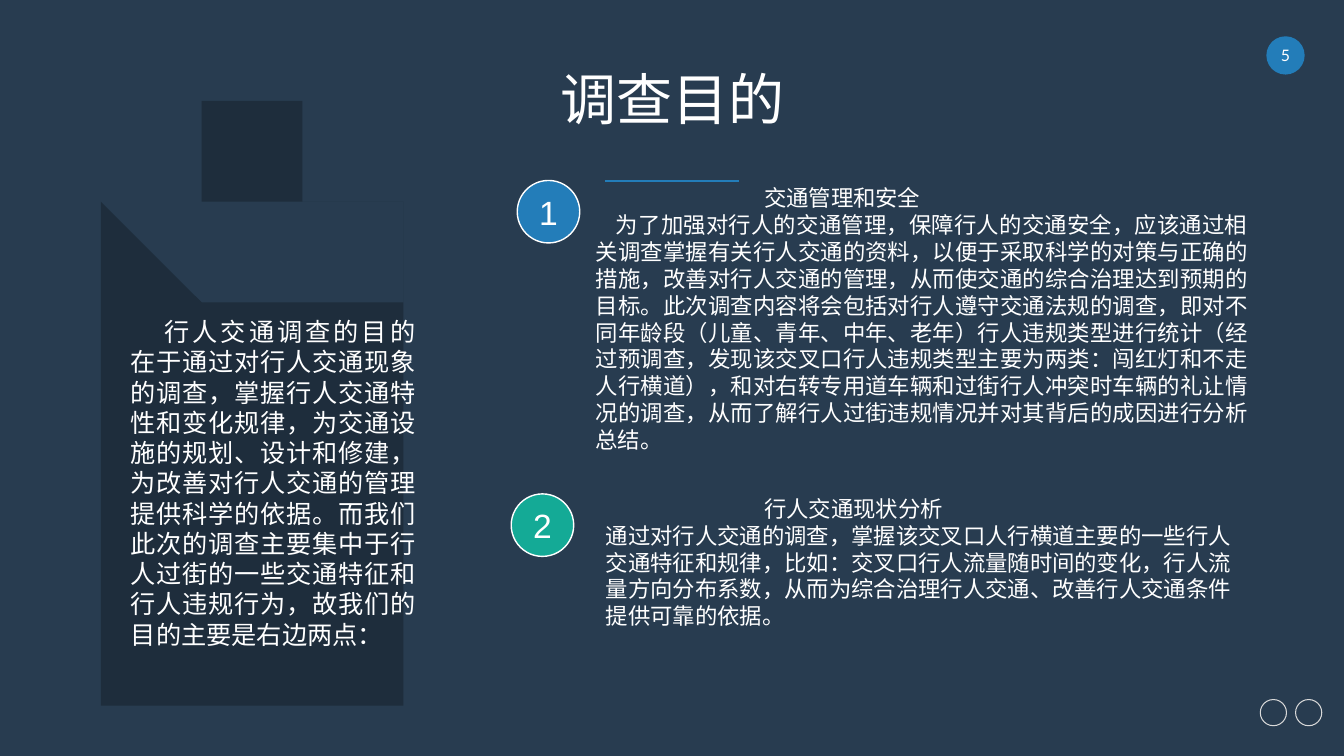
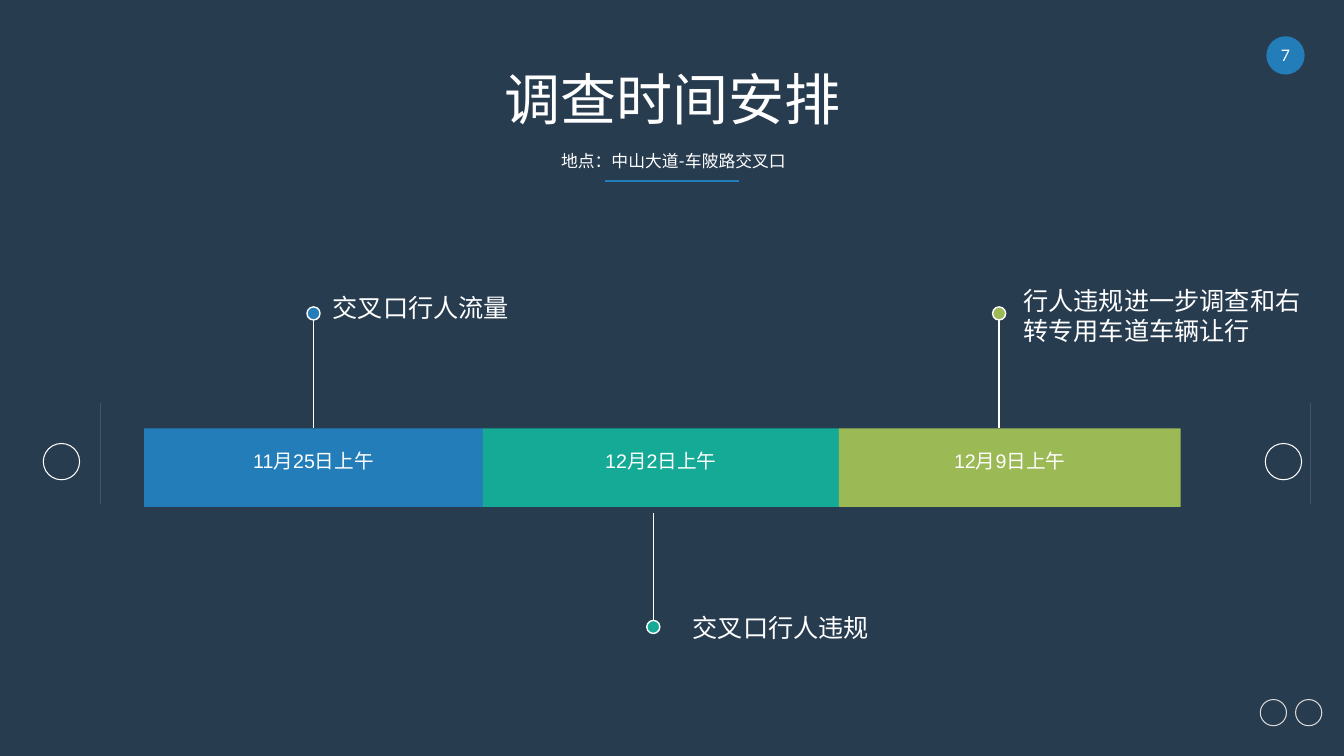
from math import cos, radians, sin

from lxml.etree import SubElement
from pptx import Presentation
from pptx.dml.color import RGBColor
from pptx.enum.shapes import MSO_CONNECTOR, MSO_SHAPE as Shape
from pptx.enum.text import MSO_ANCHOR as Anchor, PP_ALIGN as Align
from pptx.oxml.ns import qn
from pptx.util import Inches, Pt

NAVY, DARK, WHITE, PALE = "283C50", "1E2D3C", "FFFFFF", "D9D9D9"
BLUE, TEAL, GREEN = "237DB9", "14AA96", "9BB955"
CJK_FONT = "Noto Sans CJK SC"

PURPOSE = (
    "行人交通调查的目的在于通过对行人交通现象的调查，掌握行人交通特性和变化规律，"
    "为交通设施的规划、设计和修建，为改善对行人交通的管理提供科学的依据。"
    "而我们此次的调查主要集中于行人过街的一些交通特征和行人违规行为，"
    "故我们的目的主要是右边两点："
)
SAFETY = (
    "为了加强对行人的交通管理，保障行人的交通安全，应该通过相关调查掌握有关行人交通的资料，"
    "以便于采取科学的对策与正确的措施，改善对行人交通的管理，从而使交通的综合治理达到预期的目标。"
    "此次调查内容将会包括对行人遵守交通法规的调查，即对不同年龄段（儿童、青年、中年、老年）"
    "行人违规类型进行统计（经过预调查，发现该交叉口行人违规类型主要为两类：闯红灯和不走人行横道），"
    "和对右转专用道车辆和过街行人冲突时车辆的礼让情况的调查，"
    "从而了解行人过街违规情况并对其背后的成因进行分析总结。"
)
ANALYSIS = (
    "通过对行人交通的调查，掌握该交叉口人行横道主要的一些行人交通特征和规律，"
    "比如：交叉口行人流量随时间的变化，行人流量方向分布系数，"
    "从而为综合治理行人交通、改善行人交通条件提供可靠的依据。"
)


def rgb(value):
    return RGBColor.from_string(value)


def write(frame, paragraphs, size, font="Arial", align=Align.LEFT,
          anchor=Anchor.TOP, margins=(0, 0, 0, 0)):
    """Fill a frame with (text, first-line indent in inches) pairs."""
    frame.word_wrap = True
    frame.vertical_anchor = anchor
    (frame.margin_left, frame.margin_top,
     frame.margin_right, frame.margin_bottom) = map(Inches, margins)
    for index, (text, indent) in enumerate(paragraphs):
        para = frame.add_paragraph() if index else frame.paragraphs[0]
        para.text = text
        para.alignment = align
        if indent:
            props = para._p.get_or_add_pPr()
            props.set("marL", "0")
            props.set("indent", str(Inches(indent)))
        para.font.size = Pt(size)
        para.font.name = font
        para.font.color.rgb = rgb(WHITE)
        defaults = para._p.pPr.find(qn("a:defRPr"))
        SubElement(defaults, qn("a:ea")).set("typeface", CJK_FONT)


def add_text(slide, box, paragraphs, size, **style):
    frame = slide.shapes.add_textbox(*map(Inches, box)).text_frame
    write(frame, paragraphs, size, **style)


def paint(shape, fill=None, line=None, width=1):
    shape.shadow.inherit = False
    if fill:
        shape.fill.solid()
        shape.fill.fore_color.rgb = rgb(fill)
    else:
        shape.fill.background()
    if line:
        shape.line.color.rgb = rgb(line)
        shape.line.width = Pt(width)
    else:
        shape.line.fill.background()


def add_block(slide, kind, box, fill=None, line=None, width=1,
              text=None, size=14, font="Arial", bottom=0):
    block = slide.shapes.add_shape(kind, *map(Inches, box))
    paint(block, fill, line, width)
    if text:
        write(block.text_frame, [(text, 0)], size, font, Align.CENTER,
              Anchor.MIDDLE, (0, 0, 0, bottom))


def add_circle(slide, x, y, diameter, **look):
    """Circle centred on x, y."""
    box = (x - diameter / 2, y - diameter / 2, diameter, diameter)
    add_block(slide, Shape.OVAL, box, **look)


def add_line(slide, start, end, color, width):
    line = slide.shapes.add_connector(MSO_CONNECTOR.STRAIGHT,
                                      *map(Inches, start + end))
    line.line.color.rgb = rgb(color)
    line.line.width = Pt(width)
    SubElement(line._element.spPr, qn("a:effectLst"))


def add_outline(slide, contours, fill):
    """One filled shape made of closed contours in inches."""
    builder = slide.shapes.build_freeform(
        *contours[0][0], scale=float(Inches(1)))
    for index, contour in enumerate(contours):
        if index:
            builder.move_to(*contour[0])
        builder.add_line_segments(contour[1:], close=True)
    paint(builder.convert_to_shape(), fill)


def add_nav_button(slide, x, y, diameter, direction, color):
    """Ringed chevron; direction is -1 for back and 1 for forward."""
    add_circle(slide, x, y, diameter, line=color, width=0.75)
    chevron = [(-0.08, -0.25), (-0.13, -0.2), (0.06, 0),
               (-0.13, 0.2), (-0.08, 0.25), (0.17, 0)]
    points = [(x + direction * dx * diameter, y + dy * diameter)
              for dx, dy in chevron]
    add_outline(slide, [points], color)


def add_clipboard(slide):
    middle, right, top, bottom, radius = 2.66, 4.45, 1.84, 6.75, 0.37

    def corner(y, first):
        return [(right - radius + radius * cos(radians(angle)),
                 y + radius * sin(radians(angle)))
                for angle in range(first, first + 91, 15)]

    def mirrored(half):
        return half + [(2 * middle - x, y) for x, y in reversed(half)]

    board = ([(3.79, 2.67)] + corner(top + radius, -90)
             + corner(bottom - radius, 0))
    clip = [(3.07, 1.31), (3.26, top), (3.8, top), (3.56, 2.38)]
    add_outline(slide, [mirrored(board), mirrored(clip)], DARK)


def new_slide(prs, title, number):
    slide = prs.slides.add_slide(prs.slide_layouts[6])
    add_line(slide, (6, 1.8), (7.33, 1.8), BLUE, 1.5)
    add_nav_button(slide, 12.63, 7.07, 0.26, -1, PALE)
    add_nav_button(slide, 12.98, 7.07, 0.26, 1, PALE)
    add_circle(slide, 12.75, 0.55, 0.38, fill=BLUE, text=str(number),
               size=11.3, font="Lato")
    add_text(slide, (0.87, 0.64, 11.6, 0.67), [(title, 0)], 40,
             align=Align.CENTER, anchor=Anchor.MIDDLE)
    return slide


def add_purpose_slide(prs):
    slide = new_slide(prs, "调查目的", 5)
    inset = (0.1, 0.05, 0.1, 0.05)
    add_clipboard(slide)
    add_text(slide, (1.2, 3.09, 3.02, 3.43), [(PURPOSE, 0.33)], 18,
             font="Times New Roman", align=Align.JUSTIFY, margins=inset)
    add_circle(slide, 5.44, 2.1, 0.62, fill=BLUE, line=WHITE,
               text="1", size=24)
    add_text(slide, (5.81, 1.78, 6.67, 2.79),
             [("交通管理和安全", 1.67), (SAFETY, 0.2)], 16,
             font=CJK_FONT, align=Align.JUSTIFY, margins=inset)
    add_circle(slide, 5.38, 5.21, 0.62, fill=TEAL, line=WHITE,
               text="2", size=24)
    add_text(slide, (6.01, 4.91, 6.21, 1.38),
             [("行人交通现状分析", 1.57), (ANALYSIS, 0)], 16)


def add_schedule_slide(prs):
    slide = new_slide(prs, "调查时间安排", 7)
    add_text(slide, (0.88, 1.43, 11.6, 0.33),
             [("地点：中山大道-车陂路交叉口", 0)], 12, font="Lato",
             align=Align.CENTER, anchor=Anchor.MIDDLE)
    add_nav_button(slide, 0.61, 4.58, 0.36, -1, WHITE)
    add_nav_button(slide, 12.73, 4.58, 0.36, 1, WHITE)

    # date, colour, bar left and right, stem x, dot y, stem end, label place
    stages = [
        ("11月25日上午", BLUE, 1.43, 4.79, 3.11, 3.11, 4.25,
         "交叉口行人流量", (3.3, 2.9, 2.17, 0.3)),
        ("12月2日上午", TEAL, 4.79, 8.32, 6.48, 6.22, 5.09,
         "交叉口行人违规", (6.87, 6.07, 2.17, 0.3)),
        ("12月9日上午", GREEN, 8.32, 11.71, 9.91, 3.11, 4.25,
         "行人违规进一步调查和右转专用车道车辆让行", (10.15, 2.83, 2.76, 0.61)),
    ]
    for date, color, left, right, x, dot_y, end_y, task, place in stages:
        add_block(slide, Shape.RECTANGLE, (left, 4.25, right - left, 0.78),
                  fill=color, text=date, bottom=0.14)
        add_line(slide, (x, dot_y), (x, end_y), WHITE, 1)
        add_circle(slide, x, dot_y, 0.13, fill=color, line=WHITE)
        add_text(slide, place, [(task, 0)], 18)


def main():
    prs = Presentation()
    prs.slide_width, prs.slide_height = Inches(13.33), Inches(7.5)
    backdrop = prs.slide_master.background.fill
    backdrop.solid()
    backdrop.fore_color.rgb = rgb(NAVY)
    add_purpose_slide(prs)
    add_schedule_slide(prs)
    prs.save("out.pptx")


if __name__ == "__main__":
    main()
